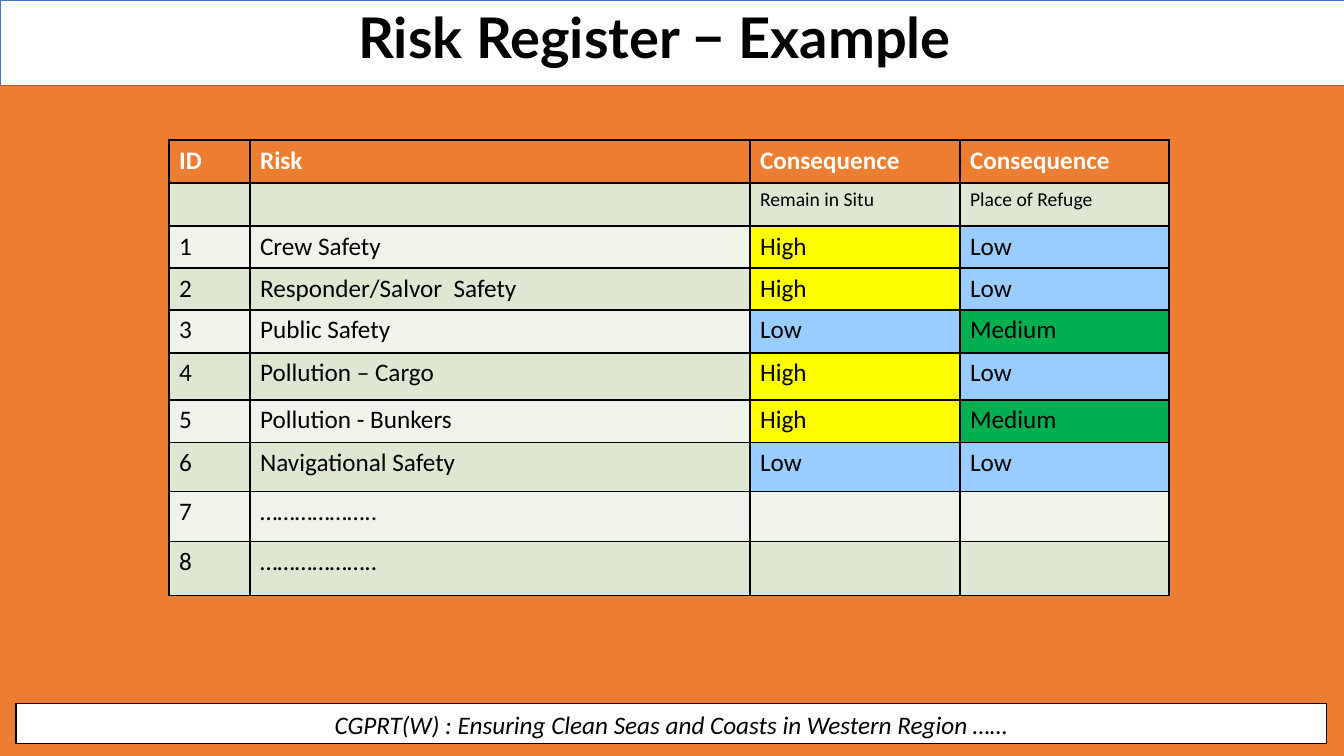
from lxml.etree import SubElement
from pptx import Presentation
from pptx.dml.color import RGBColor
from pptx.enum.shapes import MSO_SHAPE as Shape
from pptx.enum.text import MSO_ANCHOR as Anchor, MSO_AUTO_SIZE as AutoSize, PP_ALIGN as Align
from pptx.oxml.ns import qn
from pptx.util import Emu, Pt

PX_PER_INCH = 100.8
COLORS = {
    "orange": "ED7D31", "white": "FFFFFF", "black": "000000", "blue": "4472C4",
    "band_dark": "DEE7D1", "band_light": "EFF3EA",
    "High": "FFFF00", "Medium": "00B050", "Low": "99CCFF",
}
COLUMNS = [81, 500, 210, 209]
ROWS = [43, 43, 42, 42, 43, 47, 43, 49, 50, 54]
RISKS = [
    ("ID", "Risk", "Consequence", "Consequence"),
    ("", "", "Remain in Situ", "Place of Refuge"),
    ("1", "Crew Safety", "High", "Low"),
    ("2", "Responder/Salvor  Safety", "High", "Low"),
    ("3", "Public Safety", "Low", "Medium"),
    ("4", "Pollution – Cargo", "High", "Low"),
    ("5", "Pollution - Bunkers", "High", "Medium"),
    ("6", "Navigational Safety", "Low", "Low"),
    ("7", "………………..", "", ""),
    ("8", "………………..", "", ""),
]


def px(length):
    return Emu(round(length * 914400 / PX_PER_INCH))


def color(name):
    return RGBColor.from_string(COLORS[name])


class SlideBuilder:
    def __init__(self, slide, font="Calibri"):
        self.slide = slide
        self.font = font

    def background(self, fill):
        self.slide.background.fill.solid()
        self.slide.background.fill.fore_color.rgb = color(fill)

    def label(self, frame, text, size=18, ink="black", bold=False, italic=False, font=None):
        frame.text = text
        para = frame.paragraphs[0]
        for span in para.runs:
            span.font.name = font or self.font
            span.font.size = Pt(size)
            span.font.bold = bold
            span.font.italic = italic
            span.font.color.rgb = color(ink)
        return para

    def box(self, left, top, width, height, line, weight):
        box = self.slide.shapes.add_shape(Shape.RECTANGLE, *map(px, (left, top, width, height)))
        box.shadow.inherit = False
        box.fill.solid()
        box.fill.fore_color.rgb = color("white")
        box.line.color.rgb = color(line)
        box.line.width = Pt(weight)
        return box

    def footer(self, text, *place):
        frame = self.box(*place, "black", 0.75).text_frame
        frame.word_wrap = True
        frame.vertical_anchor = Anchor.MIDDLE
        self.label(frame, text, italic=True).alignment = Align.CENTER

    def title(self, text, left, top, width, height):
        title = self.slide.shapes.title
        title.left, title.top, title.width, title.height = map(px, (left, top, width, height))
        title.element.getparent().append(title.element)  # bring in front of the band
        frame = title.text_frame
        frame.word_wrap = True
        frame.auto_size = AutoSize.NONE
        frame.vertical_anchor = Anchor.TOP
        para = self.label(frame, text, size=40, bold=True, font="Lato")
        para.alignment = Align.CENTER
        para.line_spacing = 0.9

    def cell(self, cell, text, fill, **style):
        properties = cell._tc.get_or_add_tcPr()
        for side in ("a:lnL", "a:lnR", "a:lnT", "a:lnB"):
            border = SubElement(properties, qn(side), w=str(Pt(1)))
            paint = SubElement(border, qn("a:solidFill"))
            SubElement(paint, qn("a:srgbClr"), val=COLORS["black"])
        cell.fill.solid()
        cell.fill.fore_color.rgb = color(fill)
        if text:
            self.label(cell.text_frame, text, **style)

    def risk_table(self, left, top):
        place = map(px, (left, top, sum(COLUMNS), sum(ROWS)))
        table = self.slide.shapes.add_table(len(ROWS), len(COLUMNS), *place).table
        for column, width in zip(table.columns, COLUMNS):
            column.width = px(width)
        for row, height in zip(table.rows, ROWS):
            row.height = px(height)
        for number, texts in enumerate(RISKS):
            band = "band_dark" if number % 2 else "band_light"
            for cell, text in zip(table.rows[number].cells, texts):
                if number == 0:
                    self.cell(cell, text, "orange", ink="white", bold=True)
                else:
                    fill = text if text in COLORS else band
                    self.cell(cell, text, fill, size=14 if number == 1 else 18)


def main():
    deck = Presentation()
    deck.slide_width, deck.slide_height = px(1344), px(756)
    page = SlideBuilder(deck.slides.add_slide(deck.slide_layouts[5]))
    page.background("orange")

    # Footer and title band
    page.footer("CGPRT(W) : Ensuring Clean Seas and Coasts in Western Region ……", 16, 704, 1311, 40)
    page.box(0, 0, 1344, 85, "blue", 0.5)
    page.title("Risk Register − Example", 201, 5, 907, 80)

    # Risk register
    page.risk_table(169, 140)
    deck.save("out.pptx")


if __name__ == "__main__":
    main()
